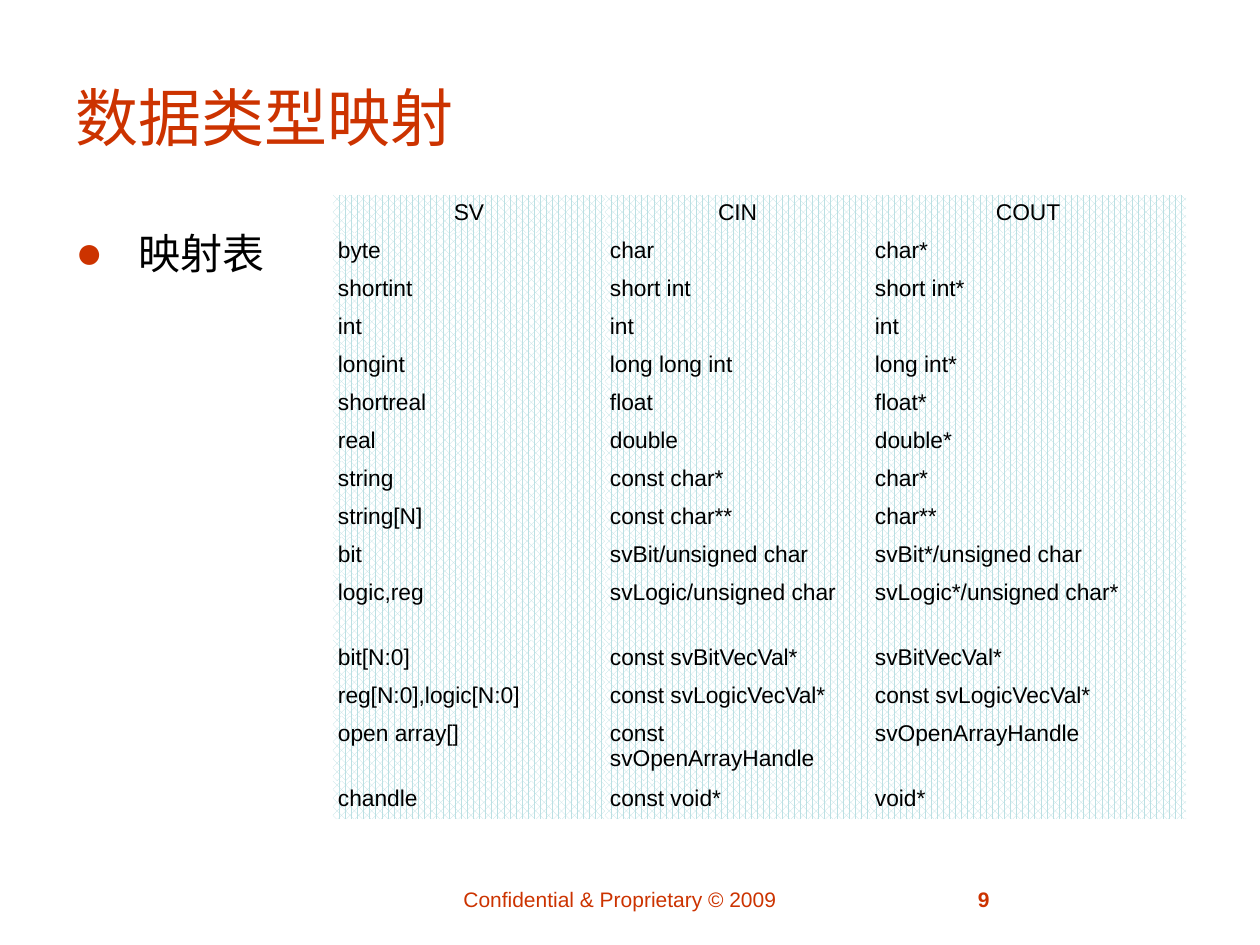
from pptx import Presentation
from pptx.dml.color import RGBColor
from pptx.enum.dml import MSO_PATTERN
from pptx.enum.text import MSO_ANCHOR, PP_ALIGN
from pptx.oxml import parse_xml
from pptx.oxml.ns import nsdecls, qn
from pptx.util import Pt

COLORS = {"accent": "CC3300", "text": "000000", "cell": "BBE0E3", "white": "FFFFFF"}
SCALE = 914400 / 126


def px(pixels):
    return round(pixels * SCALE)


def add_text(paragraph, text, size, color, bold=False):
    run = paragraph.add_run()
    run.text = text
    run.font.name = "Arial"
    run.font.size = Pt(size)
    run.font.bold = bold
    run.font.color.rgb = RGBColor.from_string(COLORS[color])


presentation = Presentation()
presentation.slide_width = px(1260)
presentation.slide_height = px(945)
slide = presentation.slides.add_slide(presentation.slide_layouts[6])

# Title, body and footer texts: box, text, size, colour, bold, alignment, anchor
texts = [
    ((63, 38, 1134, 157), "数据类型映射", 36, "accent", False, PP_ALIGN.LEFT, MSO_ANCHOR.MIDDLE),
    ((63, 221, 1134, 624), "映射表", 24, "text", False, PP_ALIGN.LEFT, MSO_ANCHOR.TOP),
    ((451, 880, 387, 37), "Confidential & Proprietary © 2009", 12, "accent", False,
     PP_ALIGN.LEFT, MSO_ANCHOR.TOP),
    ((868, 880, 134, 37), "9", 12, "accent", True, PP_ALIGN.RIGHT, MSO_ANCHOR.TOP),
]
paragraphs = []
for box, text, size, color, bold, alignment, anchor in texts:
    shape = slide.shapes.add_textbox(*map(px, box))
    shape.text_frame.word_wrap = True
    shape.text_frame.vertical_anchor = anchor
    paragraph = shape.text_frame.paragraphs[0]
    paragraph.alignment = alignment
    add_text(paragraph, text, size, color, bold)
    paragraphs.append(paragraph)

# Bullet of the body text
body = paragraphs[1]
body.space_before = Pt(5)
properties = body._p.get_or_add_pPr()
properties.set("marL", str(px(63)))
properties.set("indent", str(px(-63)))
for bullet in (
    f'<a:buClr {nsdecls("a")}><a:srgbClr val="{COLORS["accent"]}"/></a:buClr>',
    f'<a:buSzPct {nsdecls("a")} val="110000"/>',
    f'<a:buFont {nsdecls("a")} typeface="Arial"/>',
    f'<a:buChar {nsdecls("a")} char="●"/>',
):
    properties.append(parse_xml(bullet))

# Mapping table
rows = [
    ("SV", "CIN", "COUT"),
    ("byte", "char", "char*"),
    ("shortint", "short int", "short int*"),
    ("int", "int", "int"),
    ("longint", "long long int", "long int*"),
    ("shortreal", "float", "float*"),
    ("real", "double", "double*"),
    ("string", "const char*", "char*"),
    ("string[N]", "const char**", "char**"),
    ("bit", "svBit/unsigned char", "svBit*/unsigned char"),
    ("logic,reg", "svLogic/unsigned char", "svLogic*/unsigned char*"),
    ("bit[N:0]", "const svBitVecVal*", "svBitVecVal*"),
    ("reg[N:0],logic[N:0]", "const svLogicVecVal*", "const svLogicVecVal*"),
    ("open array[]", "const svOpenArrayHandle", "svOpenArrayHandle"),
    ("chandle", "const void*", "void*"),
]
column_widths = [272, 265, 316]
tall_rows = ("logic,reg", "open array[]")
row_heights = [65 if row[0] in tall_rows else 38 for row in rows]
frame = slide.shapes.add_table(len(rows), len(column_widths), px(333), px(195),
                               px(sum(column_widths)), px(sum(row_heights)))
table = frame.table
table.first_row = False
table.horz_banding = False
# The "No Style, No Grid" table style
style = next(frame.element.iter(qn("a:tableStyleId")))
style.text = "{2D5ABB26-0587-4C30-8999-92F81FD0307C}"

for column, width in zip(table.columns, column_widths):
    column.width = px(width)
for row_index, (row, height) in enumerate(zip(rows, row_heights)):
    table.rows[row_index].height = px(height)
    for column_index, text in enumerate(row):
        cell = table.cell(row_index, column_index)
        cell.margin_left = cell.margin_right = px(5)
        cell.margin_top = cell.margin_bottom = px(5)
        cell.fill.patterned()
        cell.fill.pattern = MSO_PATTERN.PERCENT_70
        cell.fill.fore_color.rgb = RGBColor.from_string(COLORS["cell"])
        cell.fill.back_color.rgb = RGBColor.from_string(COLORS["white"])
        paragraph = cell.text_frame.paragraphs[0]
        paragraph.alignment = PP_ALIGN.LEFT if row_index else PP_ALIGN.CENTER
        add_text(paragraph, text, 13, "text")

presentation.save("out.pptx")
